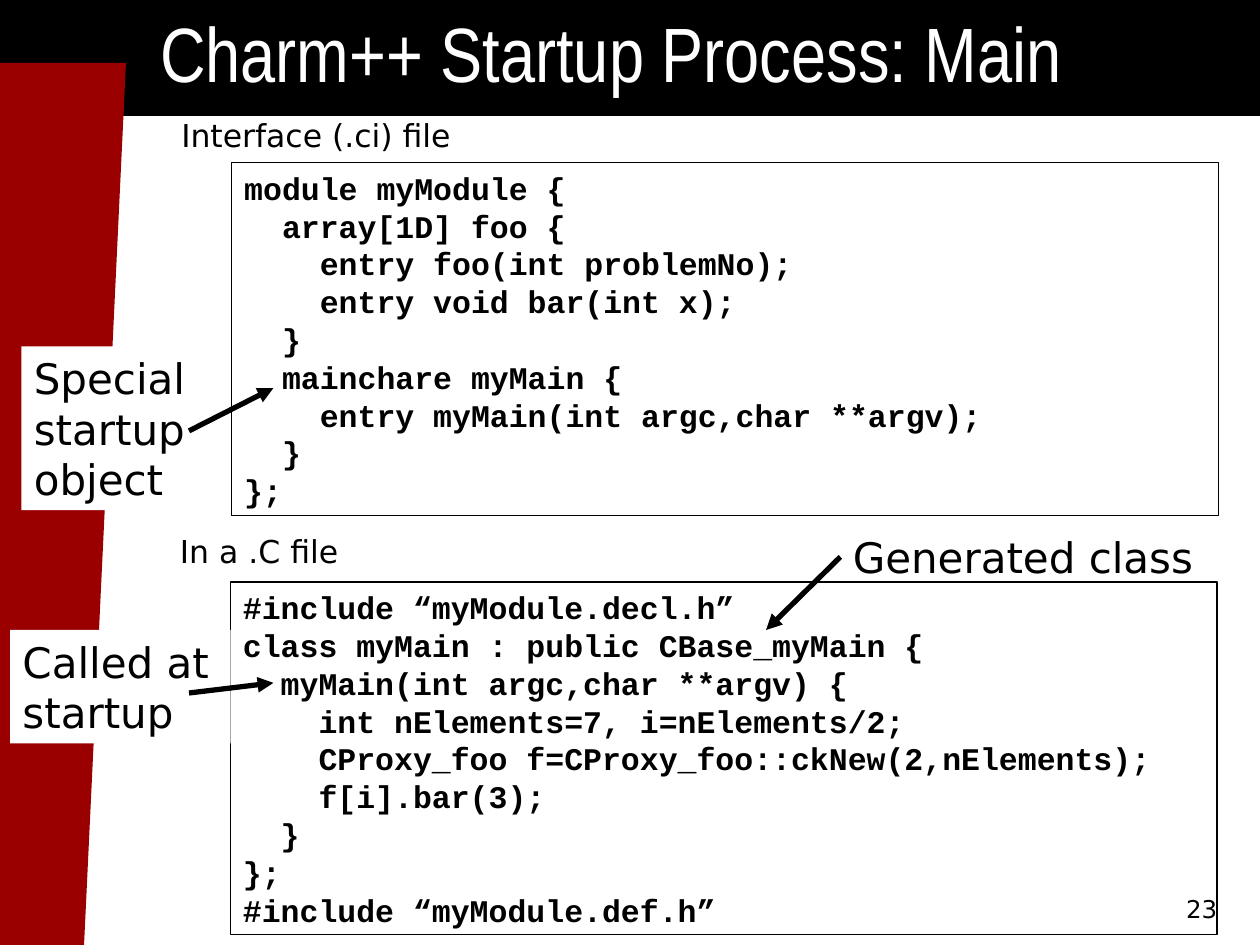
from lxml import etree
from pptx import Presentation
from pptx import util as u
from pptx.dml.color import RGBColor
from pptx.enum import shapes, text
from pptx.oxml.ns import qn

BLACK = RGBColor(0x00, 0x00, 0x00)
WHITE = RGBColor(0xFF, 0xFF, 0xFF)
RED = RGBColor(0x9A, 0x00, 0x00)
TITLE_FONT, CODE_FONT, LABEL_FONT = "Arial Narrow", "Courier New", "DejaVu Sans"

TITLE = "Charm++ Startup Process: Main"
INTERFACE_CODE = """module myModule {
  array[1D] foo {
    entry foo(int problemNo);
    entry void bar(int x);
  }
  mainchare myMain {
    entry myMain(int argc,char **argv);
  }
};"""
SOURCE_CODE = """#include “myModule.decl.h”
class myMain : public CBase_myMain {
  myMain(int argc,char **argv) {
    int nElements=7, i=nElements/2;
    CProxy_foo f=CProxy_foo::ckNew(2,nElements);
    f[i].bar(3);
  }
};
#include “myModule.def.h”"""
LISTINGS = [
    (INTERFACE_CODE, (1.84, 1.29, 7.83, 2.8)),
    (SOURCE_CODE, (1.83, 4.62, 7.83, 2.8)),
]
LABELS = [
    ("Interface (.ci) file", 18, (1.34, 0.87, 3.75, 0.4)),
    ("In a .C file", 18, (1.33, 4.17, 3.75, 0.4)),
    ("Generated class", 24, (6.67, 4.17, 3.33, 0.5)),
]
CALLOUTS = [
    ("Called at startup", (0.08, 5, 1.75, 0.9)),
    ("Special startup object", (0.17, 2.75, 1.58, 1.3)),
]
ARROWS = [
    (6.67, 4.42, 6.08, 5),
    (1.5, 5.5, 2.17, 5.42),
    (1.5, 3.42, 2.17, 3.08),
]
PAGE = "23"


def inches(values):
    return [u.Inches(value) for value in values]


def write(part, words, font, size, color=BLACK, bold=False,
          align=text.PP_ALIGN.LEFT, anchor=text.MSO_ANCHOR.TOP):
    frame = part.text_frame
    frame.word_wrap = True
    frame.auto_size = text.MSO_AUTO_SIZE.NONE
    frame.vertical_anchor = anchor
    for number, line in enumerate(words.split("\n")):
        paragraph = frame.add_paragraph() if number else frame.paragraphs[0]
        paragraph.alignment = align
        run = paragraph.add_run()
        run.text = line
        run.font.name = font
        run.font.size = u.Pt(size)
        run.font.bold = bold
        run.font.color.rgb = color


def panel(slide, kind, box, fill, outline=None):
    area = slide.shapes.add_shape(kind, *inches(box))
    area.shadow.inherit = False
    area.fill.solid()
    area.fill.fore_color.rgb = fill
    if outline is None:
        area.line.fill.background()
    else:
        area.line.color.rgb = outline
        area.line.width = u.Pt(0.75)
    return area


def arrow(slide, ends):
    pointer = slide.shapes.add_connector(shapes.MSO_CONNECTOR.STRAIGHT, *inches(ends))
    pointer.line.color.rgb = BLACK
    pointer.line.width = u.Pt(3)
    etree.SubElement(pointer.line._get_or_add_ln(), qn("a:tailEnd"), type="triangle")
    etree.SubElement(pointer._element.spPr, qn("a:effectLst"))


def main():
    deck = Presentation()
    deck.slide_width, deck.slide_height = inches((10, 7.5))
    slide = deck.slides.add_slide(deck.slide_layouts[5])
    rect = shapes.MSO_SHAPE.RECTANGLE

    panel(slide, rect, (0, 0, 10, 0.92), BLACK)
    stripe = panel(slide, shapes.MSO_SHAPE.PARALLELOGRAM, (-0.33, 0.5, 1.33, 7), RED)
    stripe.adjustments[0] = 0.25

    title = slide.shapes.title
    title.left, title.top, title.width, title.height = inches((1.17, -0.74, 8.76, 1.57))
    write(title, TITLE, TITLE_FONT, 44, WHITE, anchor=text.MSO_ANCHOR.BOTTOM)
    slide.shapes._spTree.append(title._element)

    for code, box in LISTINGS:
        write(panel(slide, rect, box, WHITE, BLACK), code, CODE_FONT, 18, bold=True)
    for words, size, box in LABELS:
        write(slide.shapes.add_textbox(*inches(box)), words, LABEL_FONT, size)
    for words, box in CALLOUTS:
        write(panel(slide, rect, box, WHITE), words, LABEL_FONT, 24)
    for ends in ARROWS:
        arrow(slide, ends)

    page = slide.shapes.add_textbox(*inches((7.68, 6.88, 2.08, 0.5)))
    write(page, PAGE, LABEL_FONT, 14, align=text.PP_ALIGN.RIGHT,
          anchor=text.MSO_ANCHOR.BOTTOM)

    deck.save("out.pptx")


if __name__ == "__main__":
    main()
